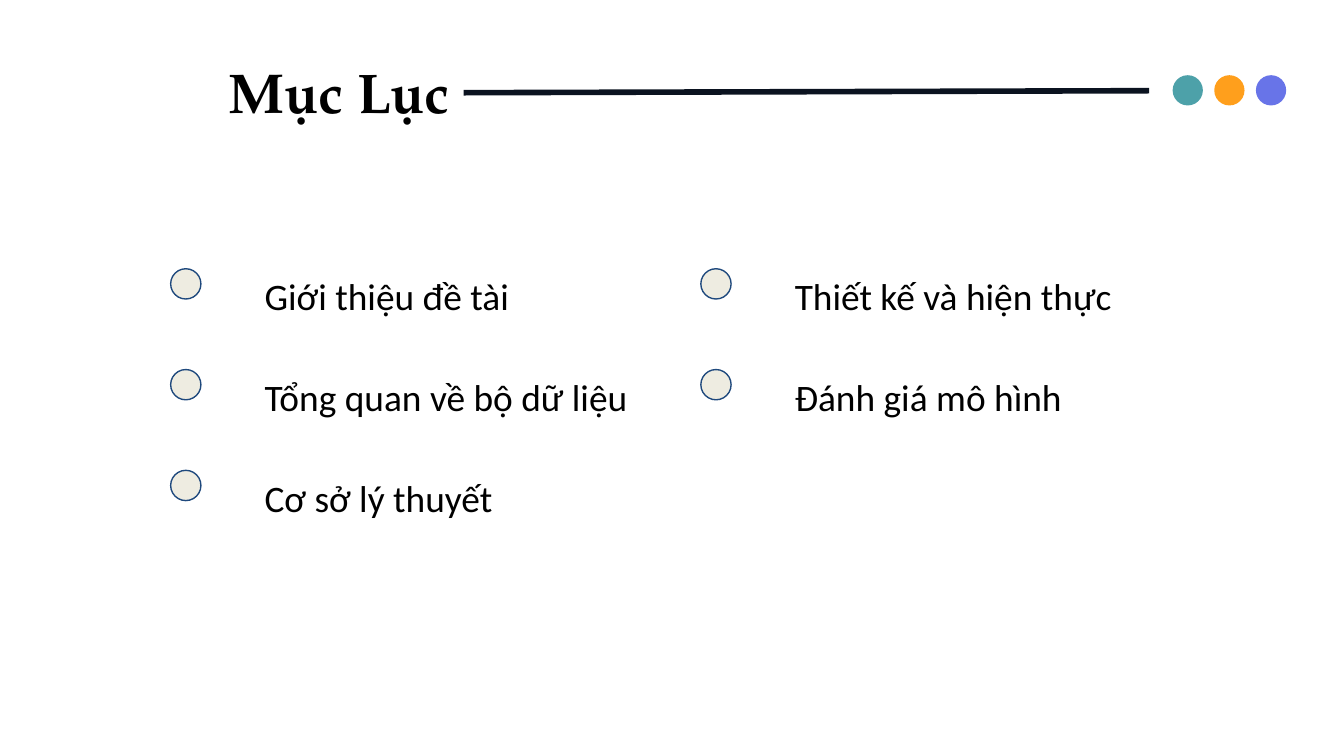
from pptx import Presentation
from pptx.dml.color import RGBColor
from pptx.enum.shapes import MSO_CONNECTOR, MSO_SHAPE
from pptx.enum.text import MSO_ANCHOR, PP_ALIGN
from pptx.oxml.ns import qn
from pptx.util import Pt
from lxml.etree import SubElement

PX = 4572  # 200 px to the inch
COLORS = {
    "text": "000000", "rule": "0B1320",
    "teal": "4DA1A9", "orange": "FF9F1C", "violet": "6874E8",
    "marker": "EEECE1", "marker_line": "1F497D",
}
TOPIC_COLUMNS = [
    ["Giới thiệu đề tài", "Tổng quan về bộ dữ liệu", "Cơ sở lý thuyết"],
    ["Thiết kế và hiện thực", "Đánh giá mô hình"],
]
DOT = 45


def px(*lengths):
    return [length * PX for length in lengths]


def color(name):
    return RGBColor.from_string(COLORS[name])


def write(frame, text, font_name, size, inset, bold=False):
    frame.text = text
    frame.word_wrap = True
    frame.vertical_anchor = MSO_ANCHOR.TOP
    frame.margin_left = frame.margin_top = inset * PX
    frame.margin_right = frame.margin_bottom = inset * PX
    paragraph = frame.paragraphs[0]
    paragraph.alignment = PP_ALIGN.LEFT
    font = paragraph.runs[0].font
    font.name, font.size, font.bold = font_name, Pt(size), bold
    font.color.rgb = color("text")


def add_dot(slide, left, top, fill, outline=None):
    dot = slide.shapes.add_shape(MSO_SHAPE.OVAL, *px(left, top, DOT, DOT))
    dot.shadow.inherit = False
    dot.fill.solid()
    dot.fill.fore_color.rgb = color(fill)
    if outline:
        dot.line.color.rgb = color(outline)
        dot.line.width = Pt(0.75)
    else:
        dot.line.fill.background()


def add_header(slide, left, top):
    # Title
    title = slide.shapes.title
    title.left, title.top, title.width, title.height = px(left, top, 426, 100)
    write(title.text_frame, "Mục Lục", "TeX Gyre Pagella", 30, 0, bold=True)

    # Rule beside the title
    rule = slide.shapes.add_connector(
        MSO_CONNECTOR.STRAIGHT,
        *px(left + 350, top + 52, left + 1370, top + 49))
    rule.line.color.rgb = color("rule")
    rule.line.width = Pt(3)
    SubElement(rule._element.spPr, qn("a:effectLst"))

    # Three coloured dots
    for i, fill in enumerate(("teal", "orange", "violet")):
        add_dot(slide, left + 1405 + 62 * i, top + 26, fill)


def add_topics(slide, left, top, column_gap=789, row_gap=150):
    for column, topics in enumerate(TOPIC_COLUMNS):
        for row, topic in enumerate(topics):
            x, y = left + column * column_gap, top + row * row_gap
            add_dot(slide, x, y + 13, "marker", "marker_line")
            label = slide.shapes.add_textbox(*px(x + 120, y, 616, 100))
            write(label.text_frame, topic, "Calibri", 20, 20)


def main():
    deck = Presentation()
    deck.slide_width, deck.slide_height = px(2000, 1125)
    slide = deck.slides.add_slide(deck.slide_layouts[5])
    add_header(slide, 340, 86)
    add_topics(slide, 254, 387)
    deck.save("out.pptx")


if __name__ == "__main__":
    main()
